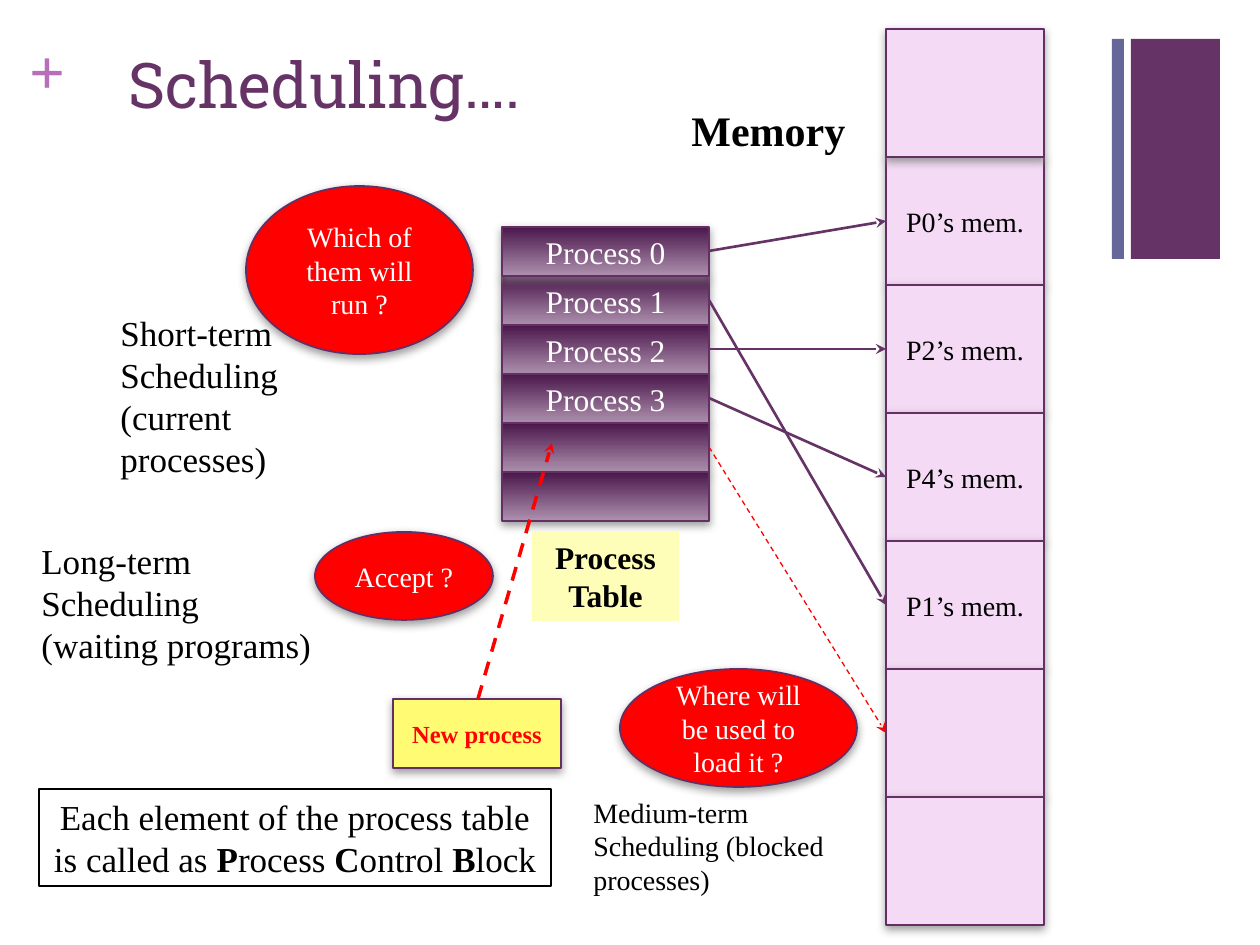
from dataclasses import dataclass

from lxml import etree
from pptx import Presentation
from pptx import util as u
from pptx.dml.color import RGBColor
from pptx.enum import dml, shapes, text
from pptx.oxml import ns

PX = 914400 / 126  # EMU in one px


def emu(*lengths):
    return [u.Emu(round(length * PX)) for length in lengths]


def color(code):
    return RGBColor.from_string(code)


@dataclass(frozen=True)
class Theme:
    title_font: str = "Roboto Slab"
    body_font: str = "Times New Roman"
    purple: str = "663366"
    outline: str = "642F64"
    slate: str = "666699"
    plus: str = "B86EB8"
    row_top: str = "4A174B"
    row_bottom: str = "AD90AE"
    memory: str = "F5DAF5"
    yellow: str = "FFFC74"
    cream: str = "FFFEB9"
    red: str = "FF0000"
    shadow: str = "808080"
    black: str = "000000"
    white: str = "FFFFFF"
    title: int = 36
    heading: int = 24
    body: int = 20
    row: int = 18
    label: int = 16
    small: int = 14


class SlideBuilder:
    def __init__(self, slide, theme):
        self.slide = slide
        self.theme = theme

    def fill_text(self, box, paragraphs, size, ink, bold=None, centered=False, font=None):
        """Each paragraph is a string or a list of (words, bold) spans."""
        frame = box.text_frame
        frame.word_wrap = True
        for index, content in enumerate(paragraphs):
            para = frame.paragraphs[0] if index == 0 else frame.add_paragraph()
            para.alignment = text.PP_ALIGN.CENTER if centered else text.PP_ALIGN.LEFT
            para.font.name = font or self.theme.body_font
            para.font.size = u.Pt(size)
            para.font.color.rgb = color(ink)
            para.font.bold = bold
            spans = [(content, None)] if isinstance(content, str) else content
            for words, strong in spans:
                span = para.add_run()
                span.text = words
                if strong is not None:
                    span.font.bold = strong

    def label(self, place, paragraphs, size, ink=None, inset=True, **style):
        box = self.slide.shapes.add_textbox(*emu(*place))
        if not inset:
            frame = box.text_frame
            frame.margin_left = frame.margin_right = 0
            frame.margin_top = frame.margin_bottom = 0
        self.fill_text(box, paragraphs, size, ink or self.theme.black, **style)

    def panel(self, place, fill=None, line=None, width=1, kind=shapes.MSO_SHAPE.RECTANGLE):
        box = self.slide.shapes.add_shape(kind, *emu(*place))
        box.shadow.inherit = False
        if fill:
            box.fill.solid()
            box.fill.fore_color.rgb = color(fill)
        else:
            box.fill.background()
        if line:
            box.line.color.rgb = color(line)
            box.line.width = u.Pt(width)
        else:
            box.line.fill.background()
        return box

    def raised(self, place, fill, words="", size=16, ink=None, bold=None, **look):
        """An outlined panel with a soft shadow below and centred words."""
        box = self.panel(place, fill, self.theme.outline, **look)
        effects = box.element.spPr.find(ns.qn("a:effectLst"))
        shadow = etree.SubElement(effects, ns.qn("a:outerShdw"), blurRad="63500",
                                  dist="25400", dir="5400000", rotWithShape="0")
        tint = etree.SubElement(shadow, ns.qn("a:srgbClr"), val=self.theme.shadow)
        etree.SubElement(tint, ns.qn("a:alpha"), val="75000")
        box.text_frame.vertical_anchor = text.MSO_ANCHOR.MIDDLE
        if words:
            self.fill_text(box, [words], size, ink or self.theme.black, bold, centered=True)
        return box

    def table_row(self, place, words):
        box = self.raised(place, self.theme.row_top, words, self.theme.row, self.theme.white)
        box.fill.gradient()
        box.fill.gradient_angle = 270
        first, last = box.fill.gradient_stops
        first.color.rgb, last.color.rgb = color(self.theme.row_top), color(self.theme.row_bottom)
        first.position, last.position = 0, 1

    def question(self, place, words):
        self.raised(place, self.theme.red, words, self.theme.label, self.theme.white,
                    kind=shapes.MSO_SHAPE.OVAL)

    def arrow(self, start, end, ink, width, dashed=False):
        connector = self.slide.shapes.add_connector(
            shapes.MSO_CONNECTOR.STRAIGHT, *emu(*start, *end))
        connector.line.color.rgb = color(ink)
        connector.line.width = u.Pt(width)
        if dashed:
            connector.line.dash_style = dml.MSO_LINE.DASH
        properties = connector.element.spPr if hasattr(connector, "element") else None
        etree.SubElement(properties.find(ns.qn("a:ln")), ns.qn("a:tailEnd"), type="stealth")
        etree.SubElement(properties, ns.qn("a:effectLst"))

    def caption(self, place, paragraphs, size, bold=None, **look):
        box = self.panel(place, **look)
        box.text_frame.vertical_anchor = text.MSO_ANCHOR.TOP
        self.fill_text(box, paragraphs, size, self.theme.black, bold, centered=True)


def main():
    deck = Presentation()
    deck.slide_width, deck.slide_height = u.Inches(10), u.Inches(7.5)
    theme = Theme()
    page = SlideBuilder(deck.slides.add_slide(deck.slide_layouts[6]), theme)

    # Side bars and title
    page.panel((1131, 39, 89, 220), theme.purple)
    page.panel((1112, 39, 12, 220), theme.slate)
    page.label((30, 32, 37, 77), ["+"], theme.title, theme.plus, inset=False, bold=True)
    page.label((116, 39, 1041, 105), ["Scheduling…."], theme.title, theme.purple,
               font=theme.title_font)

    # Process table: the first row lies on top
    table_left, table_top, table_width, row_height = 502, 227, 207, 49
    processes = ["Process 0", "Process 1", "Process 2", "Process 3", "", ""]
    for row in [*range(1, len(processes)), 0]:
        page.table_row((table_left, table_top + row * row_height, table_width, row_height),
                       processes[row])

    # New process
    page.raised((393, 699, 168, 69), theme.yellow, "New process", theme.small, theme.red, True)
    page.arrow((478, 699), (552, 443), theme.red, 2, dashed=True)

    # Memory column: the first cell lies on top
    memory_left, memory_top, memory_width, cell_height = 886, 29, 158, 128
    cells = ["", "P0’s mem.", "P2’s mem.", "P4’s mem.", "P1’s mem.", "", ""]
    for cell in [*range(1, len(cells)), 0]:
        page.raised((memory_left, memory_top + cell * cell_height, memory_width, cell_height),
                    theme.memory, cells[cell], theme.label)

    # Questions
    page.question((315, 532, 178, 88), "Accept ?")
    page.question((620, 669, 237, 118), "Where will be used to load it ?")
    page.question((246, 186, 227, 168), "Which of them will run ?")

    # Scheduling terms
    page.label((29, 533, 305, 140), ["Long-term Scheduling", "(waiting programs)"], theme.body)
    page.label((581, 789, 295, 115), ["Medium-term Scheduling (blocked processes)"], theme.label)
    page.label((108, 305, 207, 183), ["Short-term Scheduling", "(current processes)"], theme.body)

    # Arrows from table rows to memory cells
    for row, cell in enumerate([1, 4, 2, 3, 5]):
        waiting = not processes[row]
        page.arrow((table_left + table_width, table_top + row * row_height + row_height // 2),
                   (memory_left, memory_top + cell * cell_height + cell_height // 2),
                   theme.red if waiting else theme.purple, 0.75 if waiting else 1.5, waiting)

    # Captions
    page.label((679, 98, 197, 63), ["Memory"], theme.heading, bold=True)
    page.caption((532, 532, 147, 89), ["Process Table"], theme.row, True, fill=theme.cream)
    page.caption((39, 789, 512, 97),
                 [[("Each element of the process table is called as ", None),
                   ("P", True), ("rocess ", None), ("C", True), ("ontrol ", None),
                   ("B", True), ("lock", None)]],
                 theme.body, line=theme.black, width=0.75)

    deck.save("out.pptx")


if __name__ == "__main__":
    main()
